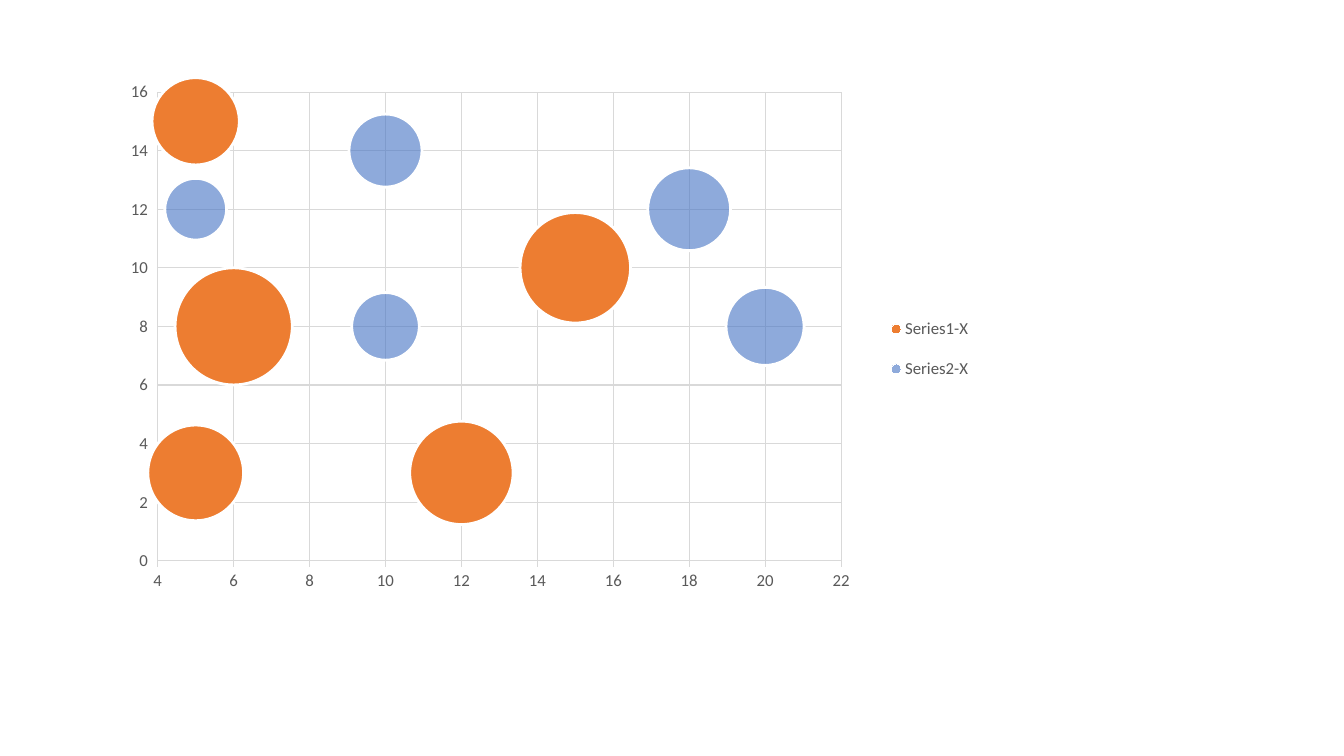
import pptx
import pptx.util
import pptx.chart.data
import pptx.dml.color
import pptx.enum.chart
import pptx.oxml
import pptx.oxml.ns

SLIDE_W, SLIDE_H = 13.33, 7.5
COLORS = {"first": "ED7D31", "second": "4472C4", "outline": "FFFFFF",
          "grid": "D9D9D9", "labels": "595959"}
FONT = "Calibri"

# Left, top, width, height in percent of the slide, then of the chart
CHART_BOX = (8.8, 9.6, 65.27, 69.6)
PLOT_BOX = (4.5, 3.7, 77.9, 89.1)
LEGEND_BOX = (86, 43, 13, 19)

# Name, color, opacity in percent, and bubbles as x, y, size
SERIES = [
    ("Series1-X", "first", 100,
     [(5, 3, 12), (12, 3, 14), (15, 10, 16), (6, 8, 18), (5, 15, 10)]),
    ("Series2-X", "second", 60,
     [(5, 12, 5), (10, 8, 6), (10, 14, 7), (20, 8, 8), (18, 12, 9)]),
]


def rgb(name):
    return pptx.dml.color.RGBColor.from_string(COLORS[name])


def style_font(font):
    font.name = FONT
    font.size = pptx.util.Pt(12)
    font.color.rgb = rgb("labels")


def style_line(line, color, width):
    line.color.rgb = rgb(color)
    line.width = pptx.util.Pt(width)


def set_layout(parent, index, box, inner=False):
    """Place a chart part by its box in percent of the chart."""
    layout = parent.find(pptx.oxml.ns.qn("c:layout"))
    if layout is not None:
        parent.remove(layout)
    target = '<c:layoutTarget val="inner"/>' if inner else ""
    modes = "".join(f'<c:{side}Mode val="edge"/>' for side in "xy")
    sizes = "".join(f'<c:{side} val="{percent / 100}"/>'
                    for side, percent in zip("xywh", box))
    parent.insert(index, pptx.oxml.parse_xml(
        f'<c:layout {pptx.oxml.ns.nsdecls("c")}><c:manualLayout>'
        f'{target}{modes}{sizes}</c:manualLayout></c:layout>'))


def style_axis(axis, low, high):
    axis.minimum_scale, axis.maximum_scale = low, high
    axis.major_unit = 2
    axis.major_tick_mark = pptx.enum.chart.XL_TICK_MARK.OUTSIDE
    axis.minor_tick_mark = pptx.enum.chart.XL_TICK_MARK.NONE
    axis.has_major_gridlines = True
    style_line(axis.major_gridlines.format.line, "grid", 0.75)
    style_font(axis.tick_labels.font)


def style_bubbles(series, color, opacity):
    fill = series.format.fill
    fill.solid()
    fill.fore_color.rgb = rgb(color)
    if opacity < 100:
        tint = series._element.find(".//" + pptx.oxml.ns.qn("a:srgbClr"))
        tint.append(pptx.oxml.parse_xml(
            f'<a:alpha {pptx.oxml.ns.nsdecls("a")} val="{opacity * 1000}"/>'))
    style_line(series.format.line, "outline", 2)


def add_bubble_chart(slide, left, top, width, height):
    # Data
    data = pptx.chart.data.BubbleChartData()
    for name, _, _, bubbles in SERIES:
        series = data.add_series(name)
        for x, y, size in bubbles:
            series.add_data_point(x, y, size)
    bubble_chart = slide.shapes.add_chart(
        pptx.enum.chart.XL_CHART_TYPE.BUBBLE,
        *map(pptx.util.Inches, (left, top, width, height)), data).chart
    bubble_chart.has_title = False
    style_font(bubble_chart.font)

    # Bubbles
    for series, (_, color, opacity, _) in zip(bubble_chart.plots[0].series, SERIES):
        style_bubbles(series, color, opacity)

    # Axes
    style_axis(bubble_chart.category_axis, 4, 22)
    style_line(bubble_chart.category_axis.format.line, "grid", 0.75)
    style_axis(bubble_chart.value_axis, 0, 16)
    bubble_chart.value_axis.format.line.fill.background()

    # Legend and plot area
    bubble_chart.has_legend = True
    legend = bubble_chart.legend
    legend.position = pptx.enum.chart.XL_LEGEND_POSITION.RIGHT
    legend.include_in_layout = False
    style_font(legend.font)
    set_layout(legend._element, 1, LEGEND_BOX)
    plot_area = bubble_chart._chartSpace.chart.plotArea
    set_layout(plot_area, 0, PLOT_BOX, inner=True)


def main():
    deck = pptx.Presentation()
    deck.slide_width = pptx.util.Inches(SLIDE_W)
    deck.slide_height = pptx.util.Inches(SLIDE_H)
    slide = deck.slides.add_slide(deck.slide_layouts[6])
    left, top, width, height = CHART_BOX
    add_bubble_chart(slide, left / 100 * SLIDE_W, top / 100 * SLIDE_H,
                     width / 100 * SLIDE_W, height / 100 * SLIDE_H)
    deck.save("out.pptx")


if __name__ == "__main__":
    main()
